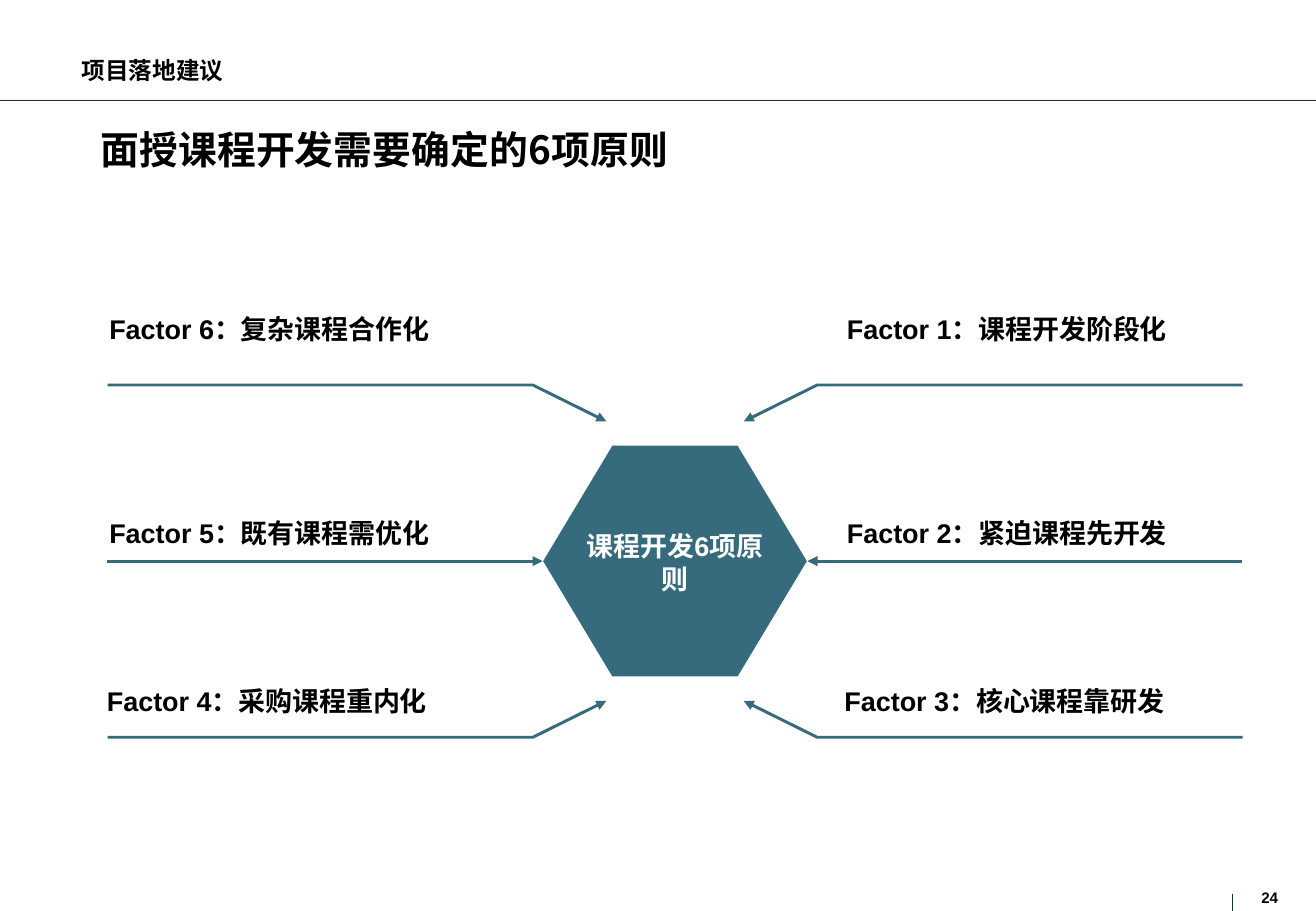
from lxml import etree
from pptx import Presentation
from pptx.dml.color import RGBColor
from pptx.enum.shapes import MSO_CONNECTOR, MSO_SHAPE
from pptx.enum.text import MSO_ANCHOR, MSO_AUTO_SIZE, PP_ALIGN
from pptx.oxml.ns import qn
from pptx.util import Inches, Pt

STRAIGHT = MSO_CONNECTOR.STRAIGHT
HEXAGON = MSO_SHAPE.HEXAGON
TOP, MIDDLE, BOTTOM = MSO_ANCHOR.TOP, MSO_ANCHOR.MIDDLE, MSO_ANCHOR.BOTTOM
GROW, FIXED = MSO_AUTO_SIZE.SHAPE_TO_FIT_TEXT, MSO_AUTO_SIZE.NONE
LEFT, CENTER = PP_ALIGN.LEFT, PP_ALIGN.CENTER

BLACK = RGBColor(0x00, 0x00, 0x00)
WHITE = RGBColor(0xFF, 0xFF, 0xFF)
TEAL = RGBColor(0x36, 0x6B, 0x7E)
INK = RGBColor(0x17, 0x2F, 0x37)

LATIN, CHINESE = "Arial", "Noto Sans CJK SC"
COLUMNS, ROWS = 108.3, 75
CELL = Inches(0.1)
HUB_X, HUB_Y = 55.55, 46.2
ARM_END = 46.7


def cells(*counts):
    return [round(count * CELL) for count in counts]


class Board:
    def __init__(self, deck):
        self.page = deck.slides.add_slide(deck.slide_layouts[6])

    def stroke(self, shape, color, width, arrow=False):
        shape.line.color.rgb = color
        shape.line.width = Pt(width)
        if arrow:
            outline = shape.line.fill._xPr
            etree.SubElement(outline, qn("a:headEnd"), type="triangle")

    def rule(self, start, end, color, width, arrow=False):
        rule = self.page.shapes.add_connector(STRAIGHT, *cells(*start, *end))
        etree.SubElement(rule._element.spPr, qn("a:effectLst"))
        self.stroke(rule, color, width, arrow)

    def bent_arrow(self, tip, bend, end):
        builder = self.page.shapes.build_freeform(*cells(*tip))
        builder.add_line_segments([cells(*bend), cells(*end)], close=False)
        arrow = builder.convert_to_shape()
        arrow.shadow.inherit = False
        arrow.fill.background()
        self.stroke(arrow, TEAL, 1.75, True)

    def hexagon(self, left, top, width, height):
        hexagon = self.page.shapes.add_shape(HEXAGON, *cells(left, top, width, height))
        hexagon.adjustments[0] = 0.3
        hexagon.shadow.inherit = False
        hexagon.fill.solid()
        hexagon.fill.fore_color.rgb = TEAL
        hexagon.line.fill.background()

    def text(self, area, words, size, font=LATIN, color=BLACK, anchor=TOP,
             align=LEFT, fit=FIXED, spacing=None):
        box = self.page.shapes.add_textbox(*cells(*area))
        frame = box.text_frame
        frame.margin_left = frame.margin_right = 0
        frame.margin_top = frame.margin_bottom = 0
        frame.word_wrap = True
        frame.auto_size = fit
        frame.vertical_anchor = anchor
        para = frame.paragraphs[0]
        para.alignment = align
        para.line_spacing = spacing
        span = para.add_run()
        span.text = words
        span.font.name = font
        span.font.size = Pt(size)
        span.font.bold = True
        span.font.color.rgb = color
        etree.SubElement(span.font._element, qn("a:ea"), typeface=CHINESE)


def main():
    deck = Presentation()
    deck.slide_width, deck.slide_height = cells(COLUMNS, ROWS)
    board = Board(deck)

    board.rule((0, 8.3), (COLUMNS, 8.3), INK, 0.75)
    board.rule((101.4, 73.6), (101.4, ROWS), INK, 0.75)
    board.text((103.8, 73.1, 2, 1.4), "24", 9)
    board.text((6.7, 4.2, 25.4, 3.2), "项目落地建议", 14, CHINESE, anchor=MIDDLE)
    board.text((8.3, 10.7, 93.6, 7.2), "面授课程开发需要确定的6项原则", 23, CHINESE,
               spacing=0.93)

    board.hexagon(HUB_X - 10.85, HUB_Y - 9.5, 21.7, 19)
    for side in (-1, 1):
        end_x = HUB_X + side * ARM_END
        board.rule((HUB_X + side * 10.9, HUB_Y), (end_x, HUB_Y), TEAL, 1.75, True)
        for level in (-1, 1):
            arm_y = HUB_Y + level * 14.5
            board.bent_arrow((HUB_X + side * 5.65, HUB_Y + level * 11.5),
                             (HUB_X + side * 11.7, arm_y), (end_x, arm_y))

    board.text((HUB_X - 8, HUB_Y - 2.6, 16, 5.4), "课程开发6项原则", 16,
               color=WHITE, anchor=MIDDLE, align=CENTER, fit=GROW)

    label_rows = [(0, 25.7), (0, 42.5), (-0.2, 56.3)]
    label_columns = [
        (69.7, ["Factor 1：课程开发阶段化", "Factor 2：紧迫课程先开发", "Factor 3：核心课程靠研发"]),
        (9, ["Factor 6：复杂课程合作化", "Factor 5：既有课程需优化", "Factor 4：采购课程重内化"]),
    ]
    for left, labels in label_columns:
        for (shift, top), label in zip(label_rows, labels):
            board.text((left + shift, top, 32.4, 2.7), label, 16, anchor=BOTTOM, fit=GROW)

    deck.save("out.pptx")


if __name__ == "__main__":
    main()
